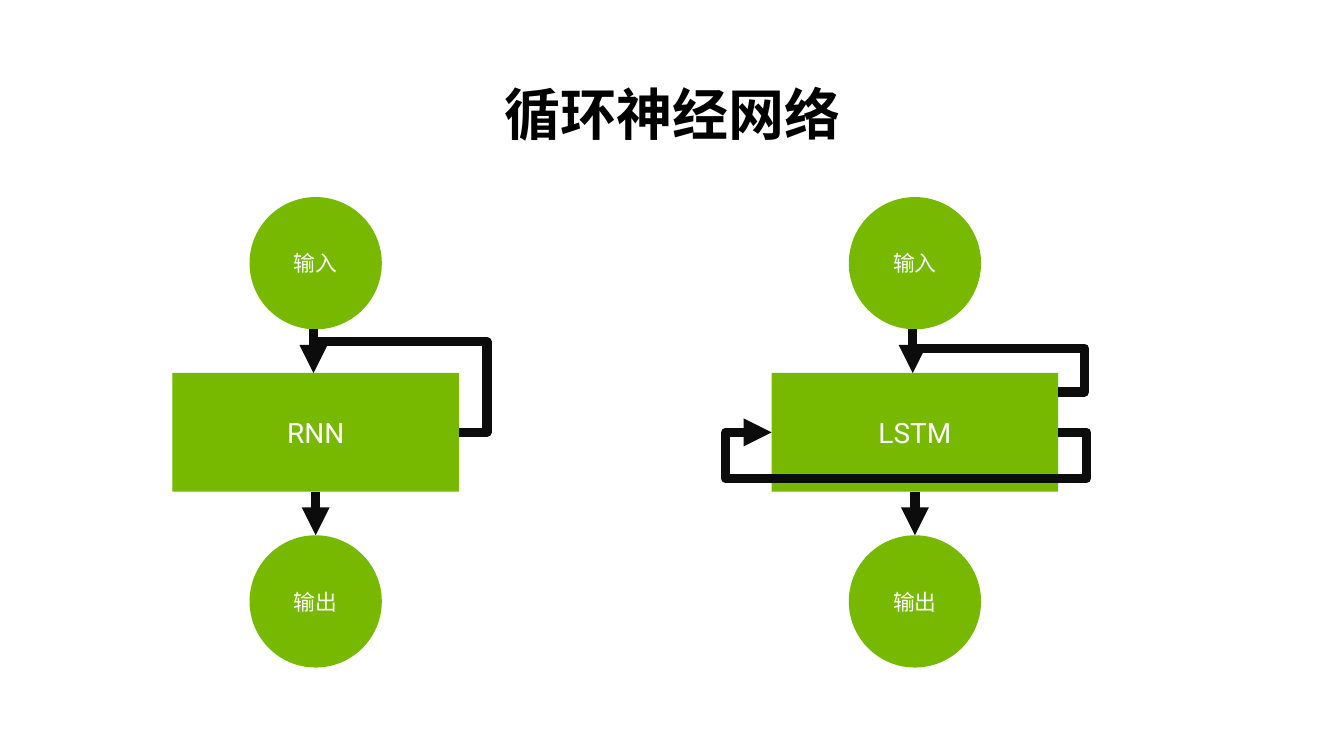
import pptx
import pptx.util
import pptx.dml.color
import pptx.enum.shapes
import pptx.enum.text
import pptx.oxml
import pptx.oxml.ns

Cm = pptx.util.Cm
Pt = pptx.util.Pt
KIND = pptx.enum.shapes.MSO_SHAPE
LINK = pptx.enum.shapes.MSO_CONNECTOR
qn = pptx.oxml.ns.qn
HUES = {"green": "76B900", "ink": "0C0C0C", "white": "FFFFFF", "black": "000000"}
NS = pptx.oxml.ns.nsdecls("a")


def write(shape, text, hue, anchor, font):
    frame = shape.text_frame
    frame.text = text
    frame.word_wrap = True
    frame.auto_size = pptx.enum.text.MSO_AUTO_SIZE.NONE
    frame.vertical_anchor = anchor
    par = frame.paragraphs[0]
    par.alignment = pptx.enum.text.PP_ALIGN.CENTER
    run = par.runs[0]
    for key, val in {"name": "Roboto", **font}.items():
        setattr(run.font, key, val)
    run.font.color.rgb = pptx.dml.color.RGBColor.from_string(HUES[hue])


def ink(line, head=False, bend=None):
    line.line.width = Pt(6)
    line.line.color.rgb = pptx.dml.color.RGBColor.from_string(HUES["ink"])
    props = line._element.spPr
    stroke = props.find(qn("a:ln"))
    stroke.append(pptx.oxml.parse_xml(f"<a:round {NS}/>"))
    if head:
        stroke.append(pptx.oxml.parse_xml(f'<a:tailEnd {NS} type="triangle"/>'))
    if props.find(qn("a:effectLst")) is None:
        props.append(pptx.oxml.parse_xml(f"<a:effectLst {NS}/>"))
    if bend is not None:
        guide = f'<a:gd {NS} name="adj1" fmla="val {round(bend * 100000)}"/>'
        props.find(".//" + qn("a:avLst")).append(pptx.oxml.parse_xml(guide))


deck = pptx.Presentation()
deck.slide_width, deck.slide_height = Cm(30.48), Cm(17.145)
slide = deck.slides.add_slide(deck.slide_layouts[5])
shapes = slide.shapes

# Title
title = shapes.title
place = {"left": 1.4, "top": 1.83, "width": 27.71, "height": 1.65}
for key, val in place.items():
    setattr(title, key, Cm(val))
write(title, "循环神经网络", "black", pptx.enum.text.MSO_ANCHOR.BOTTOM,
      {"size": Pt(36), "bold": True})
title.text_frame.paragraphs[0].line_spacing = 0.9

# Two networks: cell, input, output, and the feedback line (end x, y, start y, bend)
wide, tall, ball = 6.5, 2.69, 3.0
top, first, last = 8.46, 4.47, 12.14
mid = top + tall / 2
nets = [
    ("RNN", 3.91, (3.25, 7.75, mid, -0.195)),
    ("LSTM", 17.5, (3.23, 7.9, 8.89, -0.182)),
]
for name, left, (end, rise, start, bend) in nets:
    inset = left + (wide - ball) / 2
    nodes = []
    for kind, text, size, box in [
        (KIND.RECTANGLE, name, 18, (left, top, wide, tall)),
        (KIND.OVAL, "输入", 14, (inset, first, ball, ball)),
        (KIND.OVAL, "输出", 14, (inset, last, ball, ball)),
    ]:
        node = shapes.add_shape(kind, *map(Cm, box))
        node.shadow.inherit = False
        node.fill.solid()
        node.fill.fore_color.rgb = pptx.dml.color.RGBColor.from_string(HUES["green"])
        node.line.fill.background()
        write(node, text, "white", pptx.enum.text.MSO_ANCHOR.MIDDLE, {"size": Pt(size)})
        nodes.append(node)
    cell, source, sink = nodes

    # Arrow to the output
    axis = left + wide / 2
    down = shapes.add_connector(LINK.STRAIGHT, Cm(axis), Cm(top + tall), Cm(axis), Cm(last))
    down.begin_connect(cell, 2)
    down.end_connect(sink, 0)
    ink(down, head=True)

    # Arrow from the input, slightly left of the axis
    axis -= 0.05
    feed = shapes.add_connector(LINK.STRAIGHT, Cm(axis), Cm(first + ball), Cm(axis), Cm(top))
    ink(feed, head=True)

    # Feedback line
    loop = shapes.add_connector(LINK.ELBOW, Cm(left + wide), Cm(start),
                                Cm(left + end), Cm(rise))
    if start == mid:
        loop.begin_connect(cell, 3)
    ink(loop, bend=bend)

# Memory loop around the LSTM cell
right, low = left + wide, 10.85
east, west = right + 0.64, left - 1.04
turns = [(east, mid), (east, low), (west, low), (west, mid), (left, mid)]
pen = shapes.build_freeform(Cm(right), Cm(mid))
pen.add_line_segments([(Cm(x), Cm(y)) for x, y in turns], close=False)
memory = pen.convert_to_shape()
memory.shadow.inherit = False
memory.fill.background()
ink(memory, head=True)

deck.save("out.pptx")
